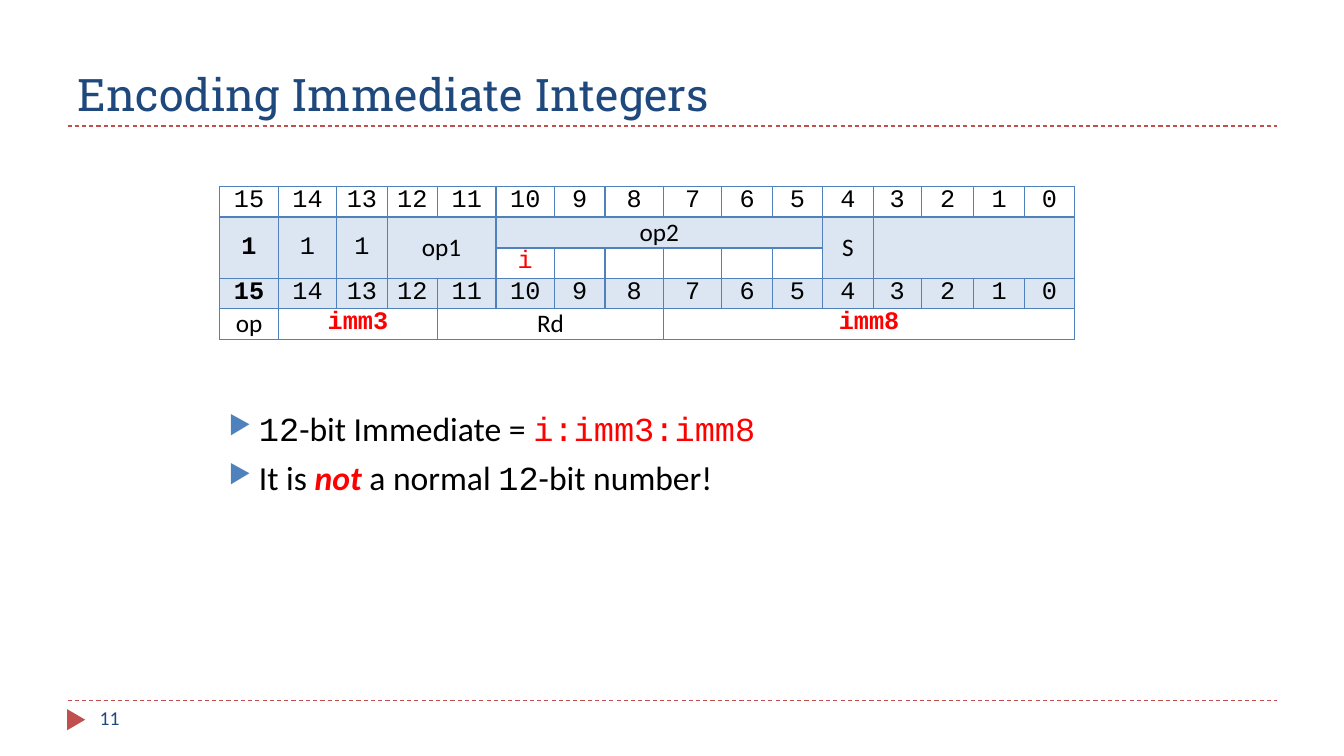
from lxml import etree
from pptx import Presentation
from pptx import util as u
from pptx.dml.color import RGBColor
from pptx.enum import dml, shapes, text
from pptx.oxml import ns

COLORS = {"navy": "1F497D", "blue": "4F81BD", "pale": "DCE6F2",
          "rule": "C0504D", "black": "000000", "red": "FF0000"}
SANS, MONO, SLAB = "Calibri", "Courier New", "Roboto Slab"
COLUMN_WIDTHS = [0.58, 0.58, 0.5, 0.5, 0.58, 0.58, 0.5, 0.58,
                 0.58, 0.5, 0.5, 0.5, 0.48, 0.52, 0.5, 0.5]
ROW_HEIGHTS = [0.28, 0.31, 0.3, 0.29, 0.31]
HEADER_ROW, LOWER_BITS_ROW = 0, 3
SHADED_ROWS = (1, 3)
FIELDS = [
    (1, 0, 2, 1, "1", MONO, "black", True),
    (1, 1, 2, 1, "1", MONO, "black", False),
    (1, 2, 2, 1, "1", MONO, "black", False),
    (1, 3, 2, 2, "op1", SANS, "black", False),
    (1, 5, 1, 6, "op2", SANS, "black", False),
    (1, 11, 2, 1, "S", SANS, "black", False),
    (1, 12, 2, 4, "", SANS, "black", False),
    (2, 5, 1, 1, "i", MONO, "red", False),
    (4, 0, 1, 1, "op", SANS, "black", False),
    (4, 1, 1, 3, "imm3", MONO, "red", True),
    (4, 4, 1, 4, "Rd", SANS, "black", False),
    (4, 8, 1, 8, "imm8", MONO, "red", True),
]
BULLETS = [
    [("12", MONO, "black", False), ("-bit Immediate = ", SANS, "black", False),
     ("i:imm3:imm8", MONO, "red", False)],
    [("It is ", SANS, "black", False), ("not", SANS, "red", True),
     (" a normal ", SANS, "black", False), ("12", MONO, "black", False),
     ("-bit number!", SANS, "black", False)],
]


def rgb(name):
    """Return the named colour."""
    return RGBColor.from_string(COLORS[name])


def add_span(para, words, font, size, color, bold=False, italic=False):
    """Add one formatted run to a paragraph."""
    span = para.add_run()
    span.text = words
    span.font.name = font
    span.font.size = u.Pt(size)
    span.font.color.rgb = rgb(color)
    span.font.bold = bold
    span.font.italic = italic


def add_title(page, words):
    """Place and fill the title placeholder."""
    title = page.shapes.title
    title.left, title.top = u.Inches(0.67), u.Inches(0.17)
    title.width, title.height = u.Inches(12), u.Inches(1.08)
    title.text_frame.vertical_anchor = text.MSO_ANCHOR.BOTTOM
    para = title.text_frame.paragraphs[0]
    para.alignment = text.PP_ALIGN.LEFT
    add_span(para, words, SLAB, 32, "navy")


def add_rule(page, top):
    """Draw a dashed rule across the page."""
    rule = page.shapes.add_connector(
        shapes.MSO_CONNECTOR.STRAIGHT, u.Inches(0.67), u.Inches(top),
        u.Inches(12.67), u.Inches(top))
    rule.line.color.rgb = rgb("rule")
    rule.line.width = u.Pt(0.75)
    rule.line.dash_style = dml.MSO_LINE.DASH
    etree.SubElement(rule._element.spPr, ns.qn("a:effectLst"))


def add_marker(page):
    """Draw the triangle beside the page number."""
    marker = page.shapes.add_shape(
        shapes.MSO_SHAPE.ISOSCELES_TRIANGLE, u.Inches(0.65), u.Inches(7.05),
        u.Inches(0.21), u.Inches(0.18))
    marker.rotation = 90
    marker.shadow.inherit = False
    marker.fill.solid()
    marker.fill.fore_color.rgb = rgb("rule")
    marker.line.fill.background()


def add_text_box(page, left, top, width, height):
    """Add a wrapping text box and return its text frame."""
    box = page.shapes.add_textbox(
        u.Inches(left), u.Inches(top), u.Inches(width), u.Inches(height))
    box.text_frame.word_wrap = True
    return box.text_frame


def set_bullet(para):
    """Give a paragraph a hanging triangle bullet."""
    props = para._p.get_or_add_pPr()
    props.set("marL", str(u.Inches(0.3)))
    props.set("indent", str(-u.Inches(0.3)))
    color = etree.SubElement(props, ns.qn("a:buClr"))
    etree.SubElement(color, ns.qn("a:srgbClr"), val=COLORS["blue"])
    etree.SubElement(props, ns.qn("a:buSzPct"), val="76000")
    etree.SubElement(props, ns.qn("a:buChar"), char="▶")


def add_bullets(page):
    """Write the bulleted statements."""
    frame = add_text_box(page, 2.17, 4, 9, 2.73)
    for index, spans in enumerate(BULLETS):
        para = frame.add_paragraph() if index else frame.paragraphs[0]
        set_bullet(para)
        if index:
            para.space_before = u.Pt(6)
        for words, font, color, strong in spans:
            add_span(para, words, font, 24, color, strong, strong)


def set_borders(cell, bottom_width):
    """Outline a cell in blue."""
    props = cell._tc.get_or_add_tcPr()
    for side, width in (("L", 1), ("R", 1), ("T", 1), ("B", bottom_width)):
        line = etree.SubElement(props, ns.qn("a:ln" + side), w=str(u.Pt(width)))
        fill = etree.SubElement(line, ns.qn("a:solidFill"))
        etree.SubElement(fill, ns.qn("a:srgbClr"), val=COLORS["blue"])


def format_cell(cell, row):
    """Set the margins, borders and fill of a cell."""
    cell.margin_left = cell.margin_right = u.Inches(0.07)
    cell.margin_top = cell.margin_bottom = 0
    set_borders(cell, 2 if row == HEADER_ROW else 1)
    if row in SHADED_ROWS:
        cell.fill.solid()
        cell.fill.fore_color.rgb = rgb("pale")
    else:
        cell.fill.background()


def write_cell(cell, words, font, color, bold):
    """Write centred text in a cell."""
    para = cell.text_frame.paragraphs[0]
    para.alignment = text.PP_ALIGN.CENTER
    add_span(para, words, font, 18, color, bold)


def add_encoding_table(page):
    """Build the table of instruction bits and fields."""
    frame = page.shapes.add_table(
        len(ROW_HEIGHTS), len(COLUMN_WIDTHS), u.Inches(2.18), u.Inches(1.85),
        u.Inches(sum(COLUMN_WIDTHS)), u.Inches(sum(ROW_HEIGHTS)))
    table = frame.table
    table.first_row = table.horz_banding = False
    for column, width in zip(table.columns, COLUMN_WIDTHS):
        column.width = u.Inches(width)
    for row, height in enumerate(ROW_HEIGHTS):
        table.rows[row].height = u.Inches(height)
        for column in range(len(COLUMN_WIDTHS)):
            format_cell(table.cell(row, column), row)
    for row in (HEADER_ROW, LOWER_BITS_ROW):
        for column in range(16):
            strong = row == LOWER_BITS_ROW and column == 0
            write_cell(table.cell(row, column), str(15 - column), MONO, "black", strong)
    for row, column, height, width, words, font, color, bold in FIELDS:
        cell = table.cell(row, column)
        if height * width > 1:
            cell.merge(table.cell(row + height - 1, column + width - 1))
        if row == 1:
            cell.vertical_anchor = text.MSO_ANCHOR.MIDDLE
        if words:
            write_cell(cell, words, font, color, bold)


def main():
    """Build and save the slide."""
    deck = Presentation()
    deck.slide_width, deck.slide_height = u.Inches(13.33), u.Inches(7.5)
    page = deck.slides.add_slide(deck.slide_layouts.get_by_name("Title Only"))
    for top in (6.95, 1.25):
        add_rule(page, top)
    add_marker(page)
    add_title(page, "Encoding Immediate Integers")
    number = add_text_box(page, 0.89, 6.95, 2.89, 0.4)
    add_span(number.paragraphs[0], "11", SANS, 14, "navy")
    add_bullets(page)
    add_encoding_table(page)
    deck.save("out.pptx")


if __name__ == "__main__":
    main()
